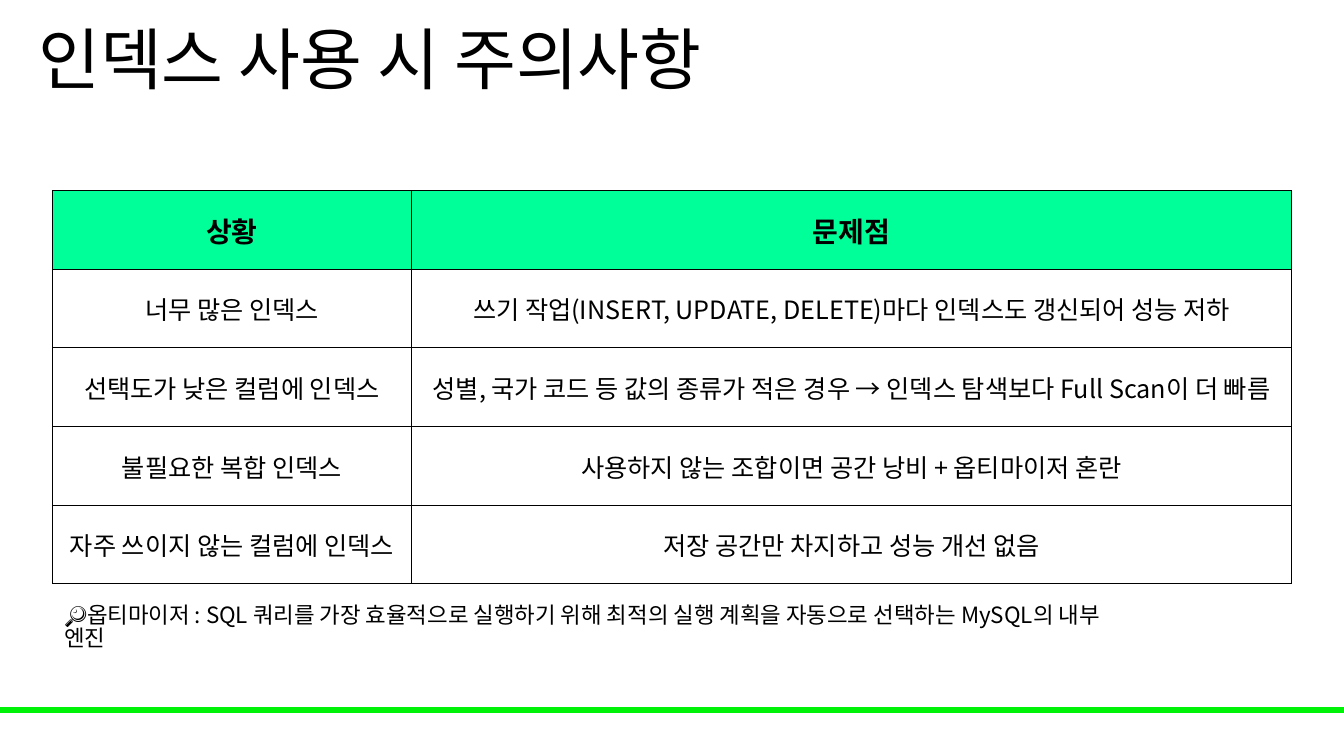
"""Build the slide on what to watch for when using indexes."""
from dataclasses import dataclass

from lxml import etree
from pptx import Presentation
from pptx.dml.color import RGBColor
from pptx.enum.shapes import MSO_SHAPE
from pptx.enum.text import MSO_ANCHOR, MSO_AUTO_SIZE, PP_ALIGN
from pptx.oxml.ns import qn
from pptx.slide import Slide
from pptx.table import _Cell
from pptx.text.text import TextFrame
from pptx.util import Inches, Pt

RECTANGLE = MSO_SHAPE.RECTANGLE
MIDDLE = MSO_ANCHOR.MIDDLE
LEFT, CENTER = PP_ALIGN.LEFT, PP_ALIGN.CENTER
NO_FIT, GROW = MSO_AUTO_SIZE.NONE, MSO_AUTO_SIZE.SHAPE_TO_FIT_TEXT
TITLE_ONLY = 5


@dataclass(frozen=True)
class Theme:
    font: str = "Noto Sans CJK KR"
    ink: str = "000000"
    header: str = "00FF99"
    bar: str = "00F209"
    title_size: int = 48
    header_size: int = 20
    body_size: int = 18
    note_size: int = 16
    border_width: float = 0.5


@dataclass(frozen=True)
class Pitfall:
    situation: str
    problem: str


THEME = Theme()
TITLE = "인덱스 사용 시 주의사항"
HEADER = Pitfall("상황", "문제점")
PITFALLS = [
    Pitfall("너무 많은 인덱스", "쓰기 작업(INSERT, UPDATE, DELETE)마다 인덱스도 갱신되어 성능 저하"),
    Pitfall("선택도가 낮은 컬럼에 인덱스",
            "성별, 국가 코드 등 값의 종류가 적은 경우 → 인덱스 탐색보다 Full Scan이 더 빠름"),
    Pitfall("불필요한 복합 인덱스", "사용하지 않는 조합이면 공간 낭비 + 옵티마이저 혼란"),
    Pitfall("자주 쓰이지 않는 컬럼에 인덱스", "저장 공간만 차지하고 성능 개선 없음"),
]
NOTE = ("🔎옵티마이저 : SQL 쿼리를 가장 효율적으로 실행하기 위해 "
        "최적의 실행 계획을 자동으로 선택하는 MySQL의 내부 엔진")
COLUMN_WIDTHS = (3.56, 8.73)
ROW_HEIGHT = 0.78


def write(frame: TextFrame, text: str, size: int, align: PP_ALIGN,
          bold: bool = False, spacing: float = 1.0) -> None:
    frame.text = text
    para = frame.paragraphs[0]
    para.alignment = align
    para.line_spacing = spacing
    for span in para.runs:
        span.font.name = THEME.font
        span.font.size = Pt(size)
        span.font.bold = bold
        span.font.color.rgb = RGBColor.from_string(THEME.ink)
        latin = span.font._element.find(qn("a:latin"))
        east_asian = etree.Element(qn("a:ea"), typeface=THEME.font)
        latin.addnext(east_asian)


def add_borders(cell: _Cell) -> None:
    properties = cell._tc.get_or_add_tcPr()
    for index, side in enumerate(("lnL", "lnR", "lnT", "lnB")):
        line = etree.Element(qn(f"a:{side}"), w=str(Pt(THEME.border_width)))
        fill = etree.SubElement(line, qn("a:solidFill"))
        etree.SubElement(fill, qn("a:srgbClr"), val=THEME.ink)
        properties.insert(index, line)


def format_cell(cell: _Cell, text: str, is_header: bool) -> None:
    cell.vertical_anchor = MIDDLE
    cell.margin_left = cell.margin_right = cell.margin_top = Inches(0.01)
    cell.margin_bottom = 0
    if is_header:
        cell.fill.solid()
        cell.fill.fore_color.rgb = RGBColor.from_string(THEME.header)
    else:
        cell.fill.background()
    size = THEME.header_size if is_header else THEME.body_size
    write(cell.text_frame, text, size, CENTER, bold=is_header)
    add_borders(cell)


def add_bar(page: Slide) -> None:
    bar = page.shapes.add_shape(RECTANGLE, 0, Inches(7.02), Inches(13.33), Inches(0.05))
    bar.shadow.inherit = False
    bar.fill.solid()
    bar.fill.fore_color.rgb = RGBColor.from_string(THEME.bar)
    bar.line.color.rgb = RGBColor.from_string(THEME.bar)
    bar.line.width = Pt(1)


def add_title(page: Slide) -> None:
    title = page.shapes.title
    title.left, title.top = Inches(0.28), 0
    title.width, title.height = Inches(11.5), Inches(1.25)
    frame = title.text_frame
    frame.vertical_anchor = MIDDLE
    frame.auto_size = NO_FIT
    write(frame, TITLE, THEME.title_size, LEFT, spacing=0.9)


def add_pitfall_table(page: Slide) -> None:
    entries = [HEADER, *PITFALLS]
    table = page.shapes.add_table(
        len(entries), len(COLUMN_WIDTHS), Inches(0.52), Inches(1.89),
        Inches(sum(COLUMN_WIDTHS)), Inches(ROW_HEIGHT * len(entries))).table
    table.horz_banding = False
    for column, width in zip(table.columns, COLUMN_WIDTHS):
        column.width = Inches(width)
    for row, entry in zip(table.rows, entries):
        row.height = Inches(ROW_HEIGHT)
        for cell, text in zip(row.cells, (entry.situation, entry.problem)):
            format_cell(cell, text, entry is HEADER)


def add_note(page: Slide) -> None:
    box = page.shapes.add_textbox(Inches(0.54), Inches(5.96), Inches(10.64), Inches(0.37))
    frame = box.text_frame
    frame.word_wrap = True
    frame.auto_size = GROW
    write(frame, NOTE, THEME.note_size, LEFT, spacing=0.85)


def main() -> None:
    deck = Presentation()
    deck.slide_width, deck.slide_height = Inches(13.33), Inches(7.5)
    page = deck.slides.add_slide(deck.slide_layouts[TITLE_ONLY])
    add_bar(page)
    add_title(page)
    add_pitfall_table(page)
    add_note(page)
    deck.save("out.pptx")


if __name__ == "__main__":
    main()
